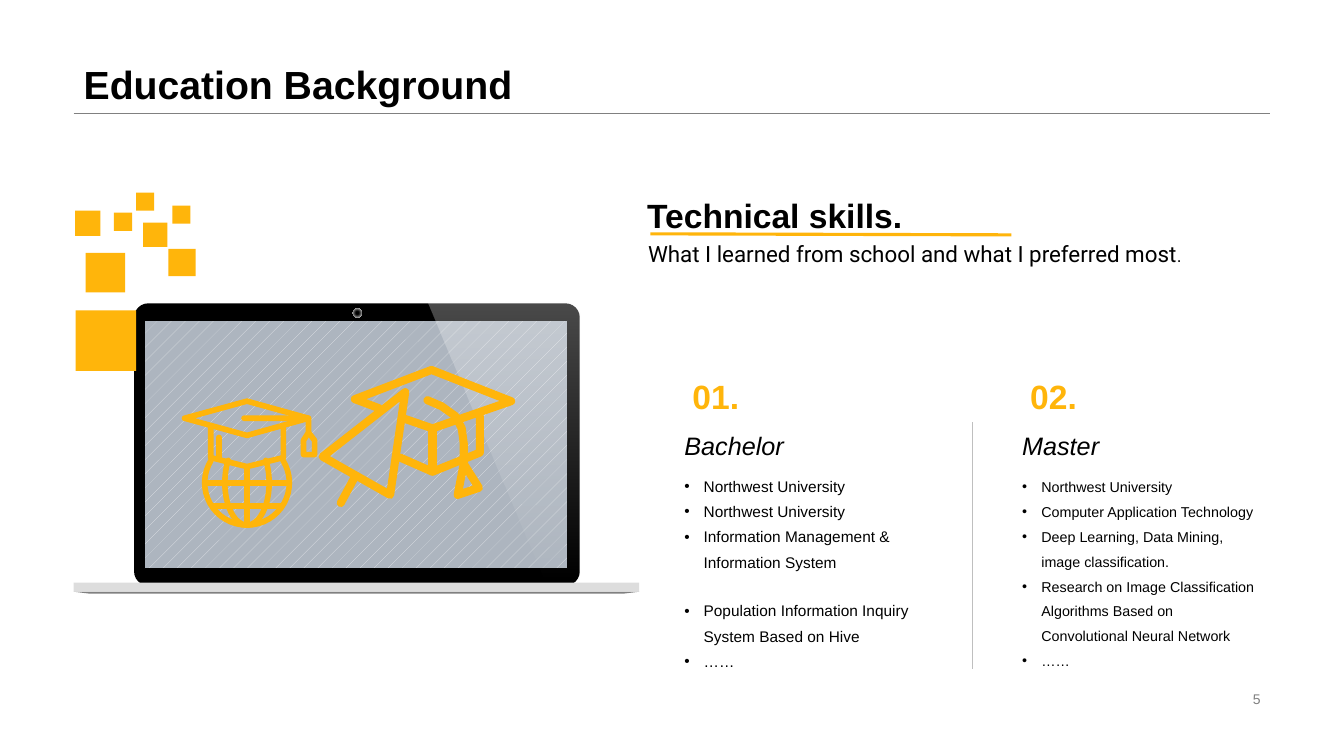
import math

from lxml import etree
from pptx import Presentation
from pptx.dml.color import RGBColor
from pptx.enum.dml import MSO_PATTERN
from pptx.enum.shapes import MSO_CONNECTOR, MSO_SHAPE
from pptx.enum.text import MSO_ANCHOR, PP_ALIGN
from pptx.oxml import parse_xml
from pptx.oxml.ns import nsdecls, qn
from pptx.util import Inches, Pt

RECT, OVAL = MSO_SHAPE.RECTANGLE, MSO_SHAPE.OVAL
ROUNDED, TRAPEZOID = MSO_SHAPE.ROUNDED_RECTANGLE, MSO_SHAPE.TRAPEZOID
TOP, MIDDLE, BOTTOM = MSO_ANCHOR.TOP, MSO_ANCHOR.MIDDLE, MSO_ANCHOR.BOTTOM
LEFT, RIGHT = PP_ALIGN.LEFT, PP_ALIGN.RIGHT
DOTTED = MSO_PATTERN.PERCENT_5
STRAIGHT = MSO_CONNECTOR.STRAIGHT

COLORS = {
    "ink": "000000", "grey": "808080", "rule": "BFBFBF", "base": "DDDDDD",
    "amber": "FFB50B", "screen": "ADB5BF", "dots": "E4E6EA",
    "white": "FFFFFF", "lens": "292929",
}


def color(name):
    return RGBColor.from_string(COLORS[name])


def arc(cx, cy, rx, ry, start, end, steps=32):
    """Points along an ellipse; degrees run clockwise from the right."""
    angles = [math.radians(start + (end - start) * i / steps) for i in range(steps + 1)]
    return [(cx + rx * math.cos(a), cy + ry * math.sin(a)) for a in angles]


class SlideKit:
    """Draws on one slide, on a grid of tenth-of-an-inch columns and rows."""

    font = "Arial"

    def __init__(self, slide):
        self.slide = slide
        self.shapes = slide.shapes

    def grid(self, *cells):
        return [Inches(cell / 10) for cell in cells]

    def add_run(self, paragraph, text, size, ink="ink", font=None, bold=False, italic=False):
        run = paragraph.add_run()
        run.text = text
        run.font.name = font or self.font
        run.font.size = Pt(size)
        run.font.bold, run.font.italic = bold, italic
        run.font.color.rgb = color(ink)

    def title(self, box, text, size):
        heading = self.shapes.title
        heading.left, heading.top, heading.width, heading.height = self.grid(*box)
        frame = heading.text_frame
        frame.vertical_anchor = BOTTOM
        paragraph = frame.paragraphs[0]
        paragraph.alignment, paragraph.line_spacing = LEFT, 0.9
        self.add_run(paragraph, text, size, bold=True)

    def frame(self, box, anchor):
        frame = self.shapes.add_textbox(*self.grid(*box)).text_frame
        frame.word_wrap = True
        frame.vertical_anchor = anchor
        return frame

    def text(self, box, runs, anchor=MIDDLE, align=LEFT, spacing=1.0):
        paragraph = self.frame(box, anchor).paragraphs[0]
        paragraph.alignment, paragraph.line_spacing = align, spacing
        for text, size, style in runs:
            self.add_run(paragraph, text, size, **style)

    def bullets(self, box, items, size, spacing):
        frame = self.frame(box, TOP)
        for i, (item, gap) in enumerate(items):
            paragraph = frame.add_paragraph() if i else frame.paragraphs[0]
            properties = paragraph._p.get_or_add_pPr()
            properties.set("marL", str(Inches(0.19)))
            properties.set("indent", str(-Inches(0.19)))
            etree.SubElement(properties, qn("a:buFont")).set("typeface", self.font)
            etree.SubElement(properties, qn("a:buChar")).set("char", "•")
            paragraph.line_spacing = spacing
            if gap:
                paragraph.space_before = Pt(gap)
            self.add_run(paragraph, item, size)

    def line(self, start, end, ink, width):
        rule = self.shapes.add_connector(STRAIGHT, *self.grid(*start, *end))
        rule.line.color.rgb = color(ink)
        rule.line.width = Pt(width)
        etree.SubElement(rule._element.spPr, qn("a:effectLst"))

    def shape(self, kind, box, fill=None):
        part = self.shapes.add_shape(kind, *self.grid(*box))
        part.shadow.inherit = False
        part.line.fill.background()
        if fill:
            part.fill.solid()
            part.fill.fore_color.rgb = color(fill)
        return part

    def gradient(self, part, stops, direction):
        marks = "".join(
            f'<a:gs pos="{place * 1000}"><a:srgbClr val="{COLORS[ink]}">'
            f'<a:alpha val="{opacity * 1000}"/></a:srgbClr></a:gs>'
            for place, ink, opacity in stops)
        part._element.spPr.insert(2, parse_xml(
            f'<a:gradFill {nsdecls("a")}><a:gsLst>{marks}</a:gsLst>{direction}</a:gradFill>'))

    def outline(self, strokes, close=False):
        strokes = [[self.grid(*point) for point in stroke] for stroke in strokes]
        builder = self.shapes.build_freeform(*strokes[0][0])
        for i, stroke in enumerate(strokes):
            if i:
                builder.move_to(*stroke[0])
            builder.add_line_segments(stroke[1:], close=close)
        part = builder.convert_to_shape()
        part.shadow.inherit = False
        return part

    def icon(self, strokes, width):
        drawing = self.outline(strokes)
        drawing.fill.background()
        drawing.line.color.rgb = color("amber")
        drawing.line.width = Pt(width)
        pen = drawing._element.spPr.find(qn("a:ln"))
        pen.set("cap", "rnd")
        etree.SubElement(pen, qn("a:round"))


def draw_laptop(kit):
    # Lid, camera and base
    lid = kit.shape(ROUNDED, (13.3, 30.1, 44.2, 28), "ink")
    lid.adjustments[0] = 0.05
    camera = kit.shape(OVAL, (35, 30.6, 0.9, 0.9))
    kit.gradient(camera, [(17, "ink", 100), (34, "lens", 100), (100, "white", 100)],
                 '<a:path path="circle"><a:fillToRect l="50000" t="50000" r="50000" b="50000"/></a:path>')
    underside = kit.shape(TRAPEZOID, (7.3, 58.7, 56.1, 0.2), "grey")
    underside.adjustments[0] = 8.14
    underside.rotation = 180
    kit.shape(RECT, (7.3, 57.8, 56.1, 0.9), "base")

    # Screen and its reflection
    screen = kit.shape(RECT, (14.3, 31.8, 42, 24.6))
    screen.fill.patterned()
    screen.fill.pattern = DOTTED
    screen.fill.fore_color.rgb = color("dots")
    screen.fill.back_color.rgb = color("screen")
    screen.line.color.rgb = color("ink")
    screen.line.width = Pt(0.5)
    edge = arc(56, 31.5, 1.6, 1.6, -90, 0, 8) + arc(56, 56.4, 1.6, 1.6, 0, 90, 8)
    reflection = kit.outline([[(42.4, 29.9), *edge, (54.2, 58)]], close=True)
    reflection.line.fill.background()
    kit.gradient(reflection, [(0, "white", 30), (100, "white", 0)], '<a:lin ang="5400000" scaled="0"/>')

    # Squares drifting off the corner
    for left, top, side in [(7.5, 30.8, 6), (8.5, 25.1, 3.9), (7.45, 20.9, 2.5), (11.3, 21.1, 1.8),
                            (13.5, 19.1, 1.8), (17.1, 20.4, 1.8), (14.2, 22.1, 2.4), (16.7, 24.7, 2.7)]:
        kit.shape(RECT, (left, top, side, side), "amber")


def draw_icons(kit):
    # Mortarboard with tassel and pennant
    kit.icon([
        [(37.6, 40.5), (35.2, 39.6), (42.8, 36.7), (50.7, 39.8), (42.9, 42.5), (40, 41.5)],
        [(42.4, 39.7), (43.8, 40.3), (45.2, 41.3), (45.8, 42.5), (46, 44),
         (46, 46), (45.4, 49.1), (47.5, 48.4), (46, 46)],
        [(39.7, 45.4), (42.9, 46.8), (47.6, 44.9), (47.6, 41.3)],
        [(42.9, 42.5), (42.9, 46.8)],
        [(40.2, 38.9), (32, 45.3), (38.7, 49.1), (40.2, 38.9)],
        [(35.1, 47.5), (33.8, 49.9)],
    ], 5.75)

    # Globe wearing a mortarboard
    kit.icon([
        [(24.5, 39.8), (30.6, 41.5), (24.5, 43.2), (18.3, 41.5), (24.5, 39.8)],
        [(24.2, 41.5), (30.6, 41.5), (30.6, 42.9), (30.1, 43.7), (30.1, 45.1),
         (31.2, 45.1), (31.2, 43.7), (30.6, 42.9)],
        [(20.9, 42.3), (20.9, 45.4), (24.5, 46.3), (28.1, 45.4), (28.1, 42.3)],
        [(21.7, 43.4), (21.7, 45.4)],
        [(24.5, 46.3), (24.5, 52.1)],
        [(20.3, 47.9), (28.7, 47.9)],
        [(21.1, 50.2), (27.9, 50.2)],
        *[arc(24.5, 47.9, radius, 4.2, -32, 212) for radius in (4.2, 2.2)],
    ], 4)


DEGREES = [
    ("01.", "Bachelor", 11, 1.36, [
        ("Northwest University", 0),
        ("Northwest University", 0),
        ("Information Management & Information System", 0),
        ("Population Information Inquiry System Based on Hive", 17),
        ("……", 0)]),
    ("02.", "Master", 10.2, 1.45, [
        ("Northwest University", 0),
        ("Computer Application Technology", 0),
        ("Deep Learning, Data Mining, image classification.", 0),
        ("Research on Image Classification Algorithms Based on Convolutional Neural Network", 0),
        ("……", 0)]),
]


def main():
    deck = Presentation()
    deck.slide_width, deck.slide_height = Inches(13.33), Inches(7.5)
    kit = SlideKit(deck.slides.add_slide(deck.slide_layouts[5]))

    # Title and page number
    kit.line((7.3, 11.2), (126, 11.2), "grey", 0.25)
    kit.title((7.3, 0, 118.7, 11.2), "Education Background", 28)
    kit.text((94.2, 68.2, 31.8, 2.3), [("5", 10, {"ink": "grey"})], align=RIGHT)

    draw_laptop(kit)

    # Skills heading
    kit.text((63.2, 16.4, 62.7, 9.8), [("Technical skills.", 24, {"bold": True})])
    kit.text((63.3, 22, 62.7, 8), [
        ("What I learned from school and what I preferred most", 16, {"font": "Roboto"}),
        (".", 12, {})], anchor=TOP, spacing=1.5)
    kit.line((64.5, 23.2), (100.3, 23.3), "amber", 2.25)

    # Degree columns
    kit.line((96.4, 41.9), (96.4, 66.4), "rule", 0.25)
    for i, (number, degree, size, spacing, studies) in enumerate(DEGREES):
        left = 66.9 + 33.5 * i
        kit.bullets((left, 46.2, 25.5, 20.2), studies, size, spacing)
        kit.text((left, 42.2, 25.4, 4), [(degree, 18, {"italic": True})])
        kit.text((left + 0.8, 36.8, 6.7, 5), [(number, 24, {"ink": "amber", "bold": True})])

    draw_icons(kit)
    deck.save("out.pptx")


if __name__ == "__main__":
    main()
